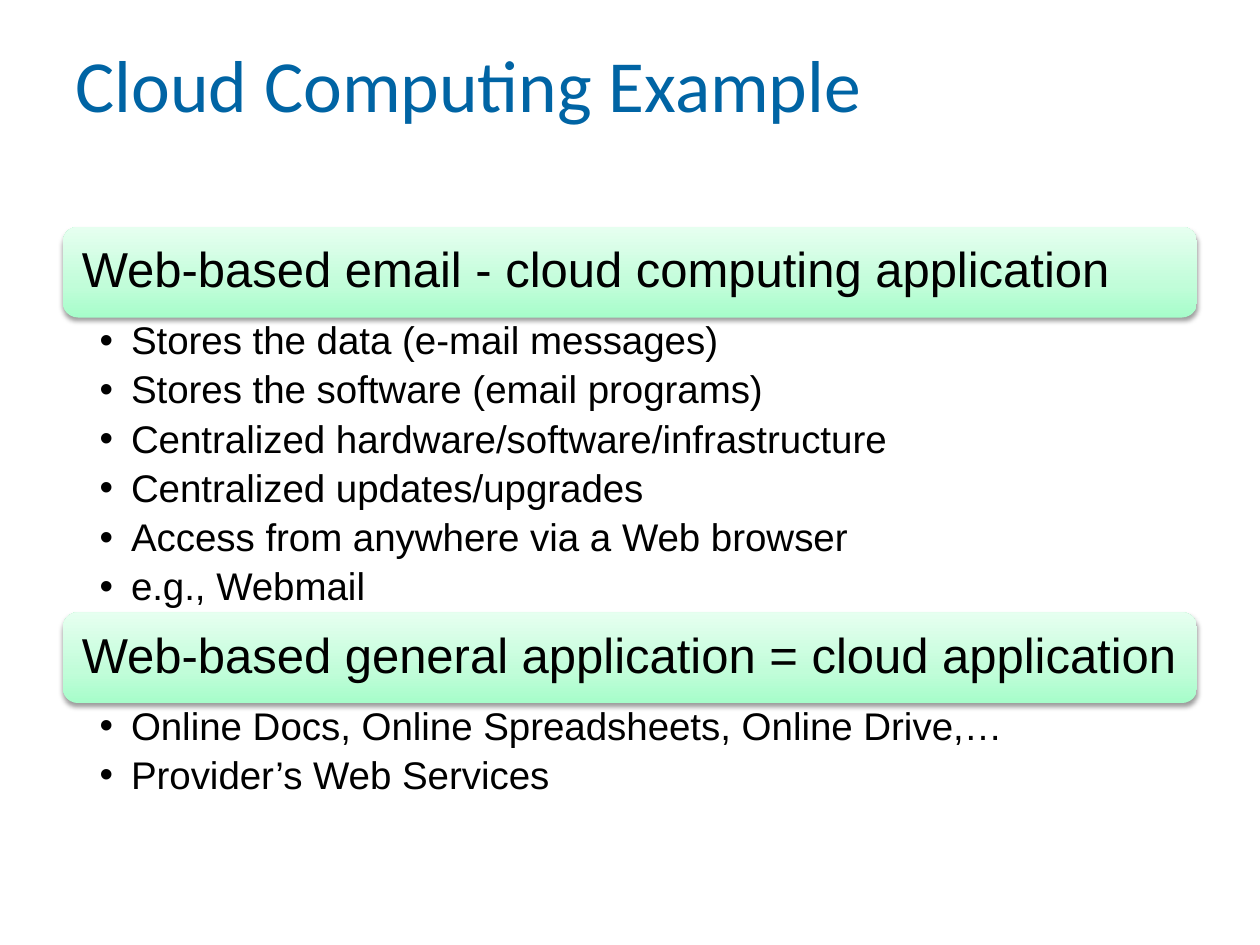
import copy
from dataclasses import dataclass

import lxml.etree
import pptx
import pptx.dml.color
import pptx.enum.shapes
import pptx.enum.text
import pptx.oxml
import pptx.oxml.ns
import pptx.util

Inches = pptx.util.Inches
Pt = pptx.util.Pt
qn = pptx.oxml.ns.qn
RGB = pptx.dml.color.RGBColor.from_string
ANCHOR = pptx.enum.text.MSO_ANCHOR


@dataclass(frozen=True)
class Theme:
    title_color: str = "0064A4"
    text_color: str = "000000"
    gradient: tuple = ((0, "A6FDCA"), (0.35, "C1FDD9"), (1, "E6FFF0"))
    title_font: str = "Calibri"
    body_font: str = "Arial"
    title_size: int = 42
    heading_size: int = 28
    bullet_size: int = 22


THEME = Theme()
LEFT, WIDTH, BAR_HEIGHT = 0.5, 9, 0.72

SECTIONS = [
    (1.8, 2.35, "Web-based email - cloud computing application", [
        "Stores the data (e-mail messages)",
        "Stores the software (email programs)",
        "Centralized hardware/software/infrastructure",
        "Centralized updates/upgrades",
        "Access from anywhere via a Web browser",
        "e.g., Webmail",
    ]),
    (4.86, 0.79, "Web-based general application = cloud application", [
        "Online Docs, Online Spreadsheets, Online Drive,…",
        "Provider’s Web Services",
    ]),
]


def add_bullet(p):
    p.level = 1
    pPr = p._p.get_or_add_pPr()
    pPr.set("marL", str(Inches(0.25)))
    pPr.set("indent", str(-Inches(0.25)))
    color = lxml.etree.SubElement(pPr, qn("a:buClr"))
    lxml.etree.SubElement(color, qn("a:srgbClr"), val=THEME.text_color)
    lxml.etree.SubElement(pPr, qn("a:buFont"), typeface=THEME.body_font)
    lxml.etree.SubElement(pPr, qn("a:buChar"), char="•")


def write_text(sp, lines, size, font=THEME.body_font, color=THEME.text_color,
               anchor=ANCHOR.TOP, insets=(0.1, 0.05, 0.1, 0.05),
               space_after=0, bullet=False):
    tf = sp.text_frame
    tf.word_wrap = True
    tf.auto_size = pptx.enum.text.MSO_AUTO_SIZE.NONE
    tf.vertical_anchor = anchor
    tf.margin_left, tf.margin_top, tf.margin_right, tf.margin_bottom = map(Inches, insets)
    for i, line in enumerate(lines):
        p = tf.paragraphs[0] if i == 0 else tf.add_paragraph()
        if bullet:
            add_bullet(p)
        p.alignment = pptx.enum.text.PP_ALIGN.LEFT
        p.line_spacing = 0.9
        p.space_before = Pt(0)
        p.space_after = Pt(space_after)
        r = p.add_run()
        r.text = line
        r.font.name = font
        r.font.size = Pt(size)
        r.font.color.rgb = RGB(color)


def add_shadow(sp):
    sp.shadow.inherit = False
    effects = sp._element.spPr.find(qn("a:effectLst"))
    shadow = lxml.etree.SubElement(
        effects, qn("a:outerShdw"), blurRad=str(Pt(3.1)), dist=str(Pt(1.6)),
        dir="5400000", rotWithShape="0")
    color = lxml.etree.SubElement(shadow, qn("a:srgbClr"), val="000000")
    lxml.etree.SubElement(color, qn("a:alpha"), val="38000")


def add_bar(s, top):
    sp = s.shapes.add_shape(
        pptx.enum.shapes.MSO_SHAPE.ROUNDED_RECTANGLE,
        Inches(LEFT), Inches(top), Inches(WIDTH), Inches(BAR_HEIGHT))
    sp.line.fill.background()
    sp.fill.gradient()
    sp.fill.gradient_angle = 90
    stops = sp._element.spPr.find(".//" + qn("a:gsLst"))
    stops.append(copy.deepcopy(stops[0]))
    for stop, (position, color) in zip(sp.fill.gradient_stops, THEME.gradient):
        stop.position = position
        stop.color.rgb = RGB(color)
    add_shadow(sp)


def add_text(s, left, top, width, height, lines, size, **fmt):
    sp = s.shapes.add_textbox(Inches(left), Inches(top), Inches(width), Inches(height))
    write_text(sp, lines, size, **fmt)


def add_section(s, top, list_height, heading, bullets):
    add_bar(s, top)
    add_text(s, LEFT + 0.03, top + 0.03, WIDTH - 0.07, BAR_HEIGHT - 0.07,
             [heading], THEME.heading_size, anchor=ANCHOR.MIDDLE, insets=(0.12,) * 4)
    add_text(s, LEFT, top + BAR_HEIGHT - 0.01, WIDTH, list_height, bullets,
             THEME.bullet_size, insets=(0.29, 0.04, 0.22, 0.04),
             space_after=4.4, bullet=True)


def add_title(s, text):
    sp = s.shapes.title
    sp.left, sp.top = Inches(LEFT), Inches(0.24)
    sp.width, sp.height = Inches(WIDTH), Inches(0.93)
    write_text(sp, [text], THEME.title_size, font=THEME.title_font,
               color=THEME.title_color, anchor=ANCHOR.MIDDLE)


def main():
    prs = pptx.Presentation()
    prs.slide_width, prs.slide_height = Inches(10), Inches(7.5)
    s = prs.slides.add_slide(prs.slide_layouts[5])
    add_title(s, "Cloud Computing Example")
    for section in SECTIONS:
        add_section(s, *section)
    prs.save("out.pptx")


if __name__ == "__main__":
    main()
